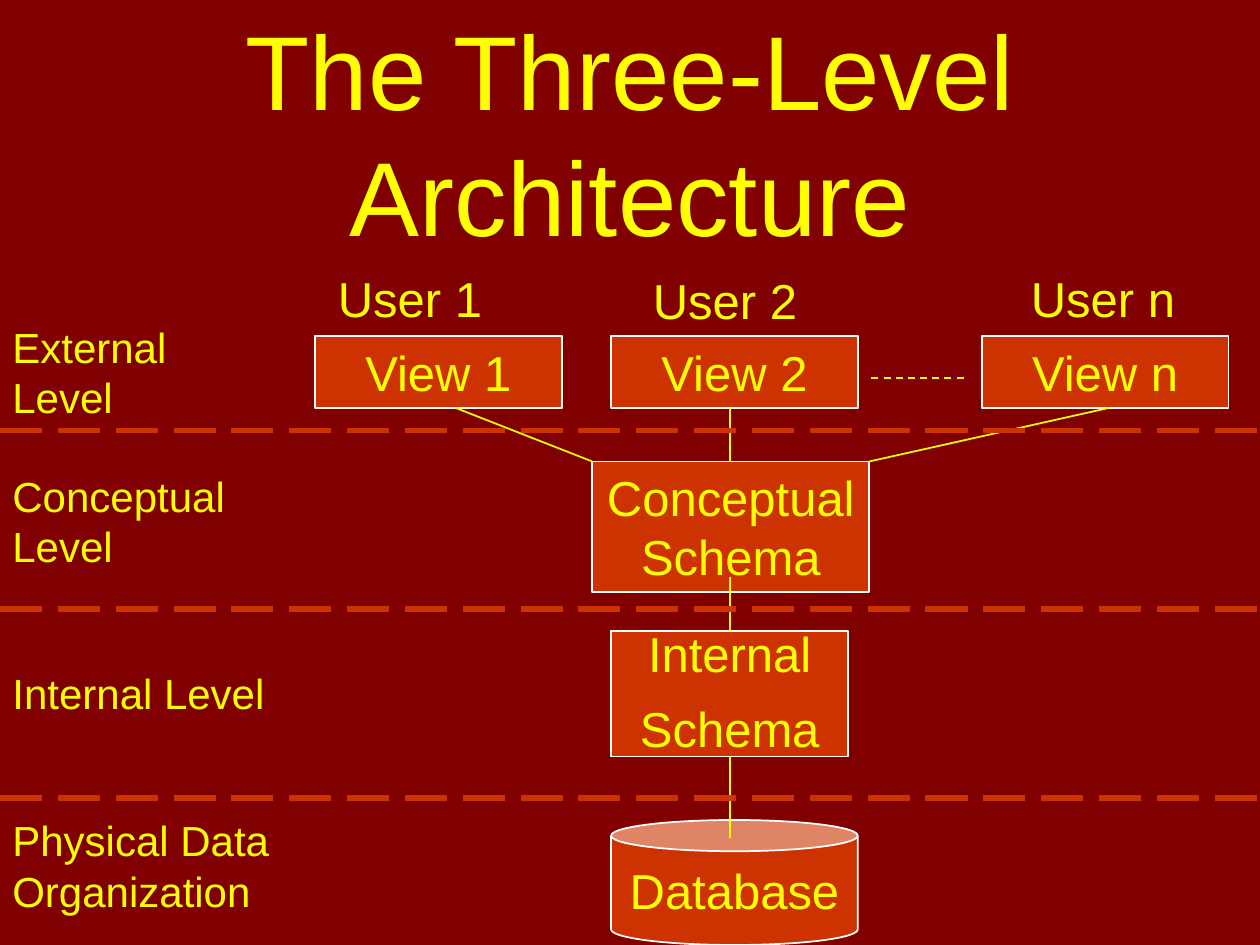
import dataclasses
import typing

import pptx
import pptx.dml.color
import pptx.enum.dml
import pptx.enum.shapes
import pptx.enum.text
import pptx.oxml
import pptx.util

COLUMNS, ROWS = 120, 90
CELL = pptx.util.Inches(10) // COLUMNS
MAROON, ORANGE, YELLOW, WHITE = "800000", "CC3300", "FFFF00", "FFFFFF"
DASH = pptx.enum.dml.MSO_LINE
KIND = pptx.enum.shapes.MSO_SHAPE
ANCHOR = pptx.enum.text.MSO_ANCHOR
ALIGN = pptx.enum.text.PP_ALIGN


@dataclasses.dataclass(frozen=True)
class Label:
    text: str
    column: float
    row: float
    width: float
    height: float
    size: int = 28
    frame_format: dict = dataclasses.field(default_factory=dict)
    paragraph_format: dict = dataclasses.field(default_factory=dict)


@dataclasses.dataclass(frozen=True)
class Box(Label):
    kind: int = KIND.RECTANGLE


@dataclasses.dataclass(frozen=True)
class Link:
    start: tuple[float, float]
    end: tuple[float, float]
    colour: str = YELLOW
    weight: float = 1
    dash: typing.Optional[int] = None


def cells(*counts: float) -> list[int]:
    return [round(count * CELL) for count in counts]


def rgb(colour: str) -> pptx.dml.color.RGBColor:
    return pptx.dml.color.RGBColor.from_string(colour)


def apply_format(target: typing.Any, values: dict) -> None:
    for name, value in values.items():
        setattr(target, name, value)


def write(shape: typing.Any, label: Label) -> None:
    frame = shape.text_frame
    frame.text = label.text
    apply_format(frame, {"word_wrap": True, "vertical_anchor": ANCHOR.TOP} | label.frame_format)
    for paragraph in frame.paragraphs:
        apply_format(paragraph, {"alignment": ALIGN.LEFT} | label.paragraph_format)
        for run in paragraph.runs:
            apply_format(run.font, {"name": "Arial", "size": pptx.util.Pt(label.size)})
            run.font.color.rgb = rgb(YELLOW)


def draw_label(slide: typing.Any, label: Label) -> None:
    place = cells(label.column, label.row, label.width, label.height)
    write(slide.shapes.add_textbox(*place), label)


def draw_box(slide: typing.Any, box: Box) -> None:
    place = cells(box.column, box.row, box.width, box.height)
    shape = slide.shapes.add_shape(box.kind, *place)
    shape.shadow.inherit = False
    shape.fill.solid()
    shape.fill.fore_color.rgb = rgb(ORANGE)
    shape.line.color.rgb = rgb(WHITE)
    shape.line.width = pptx.util.Pt(1)
    write(shape, box)


def draw_link(slide: typing.Any, link: Link) -> None:
    connector = slide.shapes.add_connector(
        pptx.enum.shapes.MSO_CONNECTOR.STRAIGHT, *cells(*link.start, *link.end))
    connector.line.color.rgb = rgb(link.colour)
    apply_format(connector.line, {"width": pptx.util.Pt(link.weight), "dash_style": link.dash})
    properties = connector._element.spPr
    properties.append(pptx.oxml.parse_xml(
        '<a:effectLst xmlns:a="http://schemas.openxmlformats.org/drawingml/2006/main"/>'))


CENTRED = {"alignment": ALIGN.CENTER}
STACKED = CENTRED | {"line_spacing": 0.75, "space_before": pptx.util.Pt(17.5)}
VIEW_ROW, VIEW_WIDTH, VIEW_HEIGHT = 32, 23.5, 6.85
VIEW_BOTTOM = VIEW_ROW + VIEW_HEIGHT
MIDDLE, SCHEMA_LEFT, SCHEMA_WIDTH, SCHEMA_TOP = 69.5, 56.4, 26.4, 43.95
INTERNAL_TOP, INTERNAL_HEIGHT, DATABASE_TOP = 60.1, 11.95, 78.1

TITLE = Label("The Three-Level Architecture", 0, 5, COLUMNS, 15, 60,
              {"vertical_anchor": ANCHOR.MIDDLE}, CENTRED)
LEVELS = [
    Label("External Level", 0, 30, 27, 10.8, 24),
    Label("Conceptual Level", 0, 44.2, 27, 10.8, 24),
    Label("Internal Level", 0, 63, 27, 6, 24),
    Label("Physical Data Organization", 0, 77, 36, 10.8, 24),
]
USERS = [Label(f"User {name}", column, row, 17, 6.8)
         for name, column, row in (("1", 31, 25), ("2", 61, 25.2), ("n", 97, 25))]
VIEWS = [Box(f"View {name}", column, VIEW_ROW, VIEW_WIDTH, VIEW_HEIGHT, paragraph_format=CENTRED)
         for name, column in (("1", 30), ("2", 58.2), ("n", 93.5))]
STORES = [
    Box("Conceptual Schema", SCHEMA_LEFT, SCHEMA_TOP, SCHEMA_WIDTH, 12.45,
        paragraph_format=CENTRED),
    Box("Internal\nSchema", 58.2, INTERNAL_TOP, 22.6, INTERNAL_HEIGHT,
        paragraph_format=STACKED),
    Box("Database", 58.2, DATABASE_TOP, VIEW_WIDTH, ROWS - DATABASE_TOP,
        frame_format={"vertical_anchor": ANCHOR.MIDDLE, "word_wrap": False},
        paragraph_format=CENTRED, kind=KIND.CAN),
]
LINKS = [
    Link((SCHEMA_LEFT + SCHEMA_WIDTH, SCHEMA_TOP), (105.6, VIEW_BOTTOM)),
    Link((MIDDLE, SCHEMA_TOP), (MIDDLE, VIEW_BOTTOM)),
    Link((SCHEMA_LEFT, SCHEMA_TOP), (43.4, VIEW_BOTTOM)),
    Link((MIDDLE, 55), (MIDDLE, INTERNAL_TOP)),
    Link((MIDDLE, INTERNAL_TOP + INTERNAL_HEIGHT), (MIDDLE, 79.8)),
    Link((83, 36), (92, 36), dash=DASH.DASH),
]
DIVIDERS = [Link((0, row), (COLUMNS + 1, row), ORANGE, 3, DASH.LONG_DASH)
            for row in (41, 58, 76)]


def main() -> None:
    deck = pptx.Presentation()
    deck.slide_width, deck.slide_height = cells(COLUMNS, ROWS)
    slide = deck.slides.add_slide(deck.slide_layouts[6])
    slide.background.fill.solid()
    slide.background.fill.fore_color.rgb = rgb(MAROON)
    for label in [TITLE, *LEVELS]:
        draw_label(slide, label)
    for box in VIEWS + STORES:
        draw_box(slide, box)
    for link in LINKS:
        draw_link(slide, link)
    for user in USERS:
        draw_label(slide, user)
    for divider in DIVIDERS:
        draw_link(slide, divider)
    deck.save("out.pptx")


if __name__ == "__main__":
    main()
